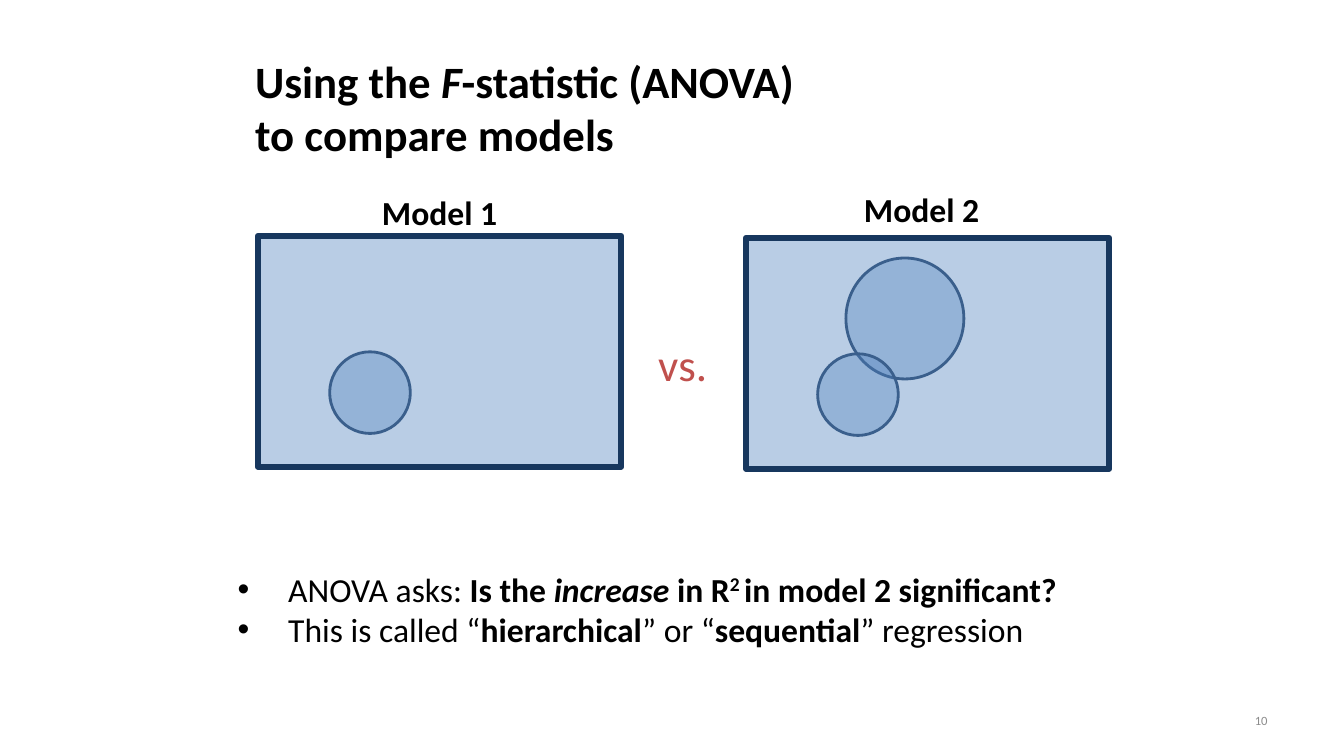
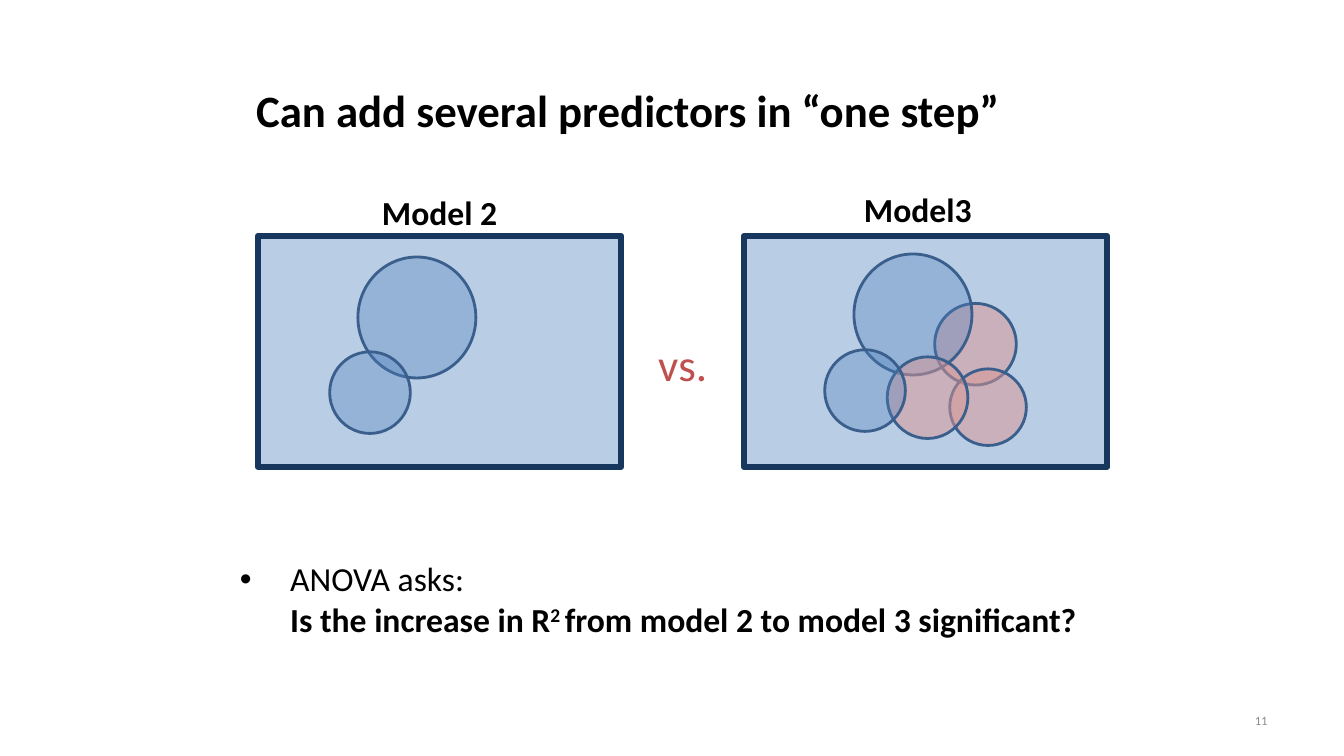
from lxml.etree import SubElement
from pptx import Presentation
from pptx.dml.color import RGBColor
from pptx.enum.shapes import MSO_SHAPE
from pptx.enum.text import MSO_ANCHOR, MSO_AUTO_SIZE, PP_ALIGN
from pptx.oxml.ns import qn
from pptx.util import Inches, Pt

# Shared style
FONT = "Calibri"
BLACK, GRAY, RED = "000000", "8C8C8C", "C0504D"
PANEL_FILL, PANEL_LINE, CIRCLE_LINE = "B9CDE5", "17375E", "3A5F8C"
BLUE = ("4F81BD", 34)  # colour, opacity in percent
PINK = ("D99694", 52)
PANEL_SIZE = (3.6, 2.29)
SMALL, LARGE = (0.8, 0.81), (1.17, 1.2)


def color(hex_string):
    return RGBColor.from_string(hex_string)


def place(shape, left, top, width, height):
    shape.left, shape.top = Inches(left), Inches(top)
    shape.width, shape.height = Inches(width), Inches(height)


def write(paragraph, runs, size, text_color=BLACK):
    """Runs are (text, marks): b bold, i italic, ^ superscript, n line break first."""
    paragraph.font.name = FONT
    paragraph.font.size = Pt(size)
    paragraph.font.color.rgb = color(text_color)
    for text, marks in runs:
        if "n" in marks:
            paragraph.add_line_break()
        run = paragraph.add_run()
        run.text = text
        run.font.bold = "b" in marks
        run.font.italic = "i" in marks
        if "^" in marks:
            run.font._element.set("baseline", "30000")


def add_text(slide, box, runs, size, text_color=BLACK, wrap=False):
    shape = slide.shapes.add_textbox(*map(Inches, box))
    shape.text_frame.word_wrap = wrap
    write(shape.text_frame.paragraphs[0], runs, size, text_color)
    return shape


def add_title(slide, box, runs):
    title = slide.shapes.title
    place(title, *box)
    frame = title.text_frame
    frame.auto_size = MSO_AUTO_SIZE.NONE
    frame.word_wrap = False
    frame.vertical_anchor = MSO_ANCHOR.TOP
    paragraph = frame.paragraphs[0]
    paragraph.alignment = PP_ALIGN.LEFT
    write(paragraph, runs, 32)


def add_slide_number(slide, number):
    shape = add_text(slide, (9.56, 6.95, 3.11, 0.4), [(str(number), "")], 9, GRAY, wrap=True)
    shape.text_frame.vertical_anchor = MSO_ANCHOR.MIDDLE
    shape.text_frame.paragraphs[0].alignment = PP_ALIGN.RIGHT


def add_bullets(slide, box, items):
    frame = slide.shapes.add_textbox(*map(Inches, box)).text_frame
    frame.word_wrap = True
    for index, runs in enumerate(items):
        paragraph = frame.add_paragraph() if index else frame.paragraphs[0]
        write(paragraph, runs, 24)
        properties = paragraph._p.get_or_add_pPr()
        properties.set("marL", str(Inches(0.5)))
        properties.set("indent", str(-Inches(0.5)))
        # The bullet belongs before the default run properties
        bullet_font = SubElement(properties, qn("a:buFont"), typeface="Arial")
        bullet = SubElement(properties, qn("a:buChar"), char="•")
        default_font = properties.find(qn("a:defRPr"))
        default_font.addprevious(bullet_font)
        default_font.addprevious(bullet)


def add_figure(slide, preset, box, fill, line, line_width, opacity=100):
    shape = slide.shapes.add_shape(preset, *map(Inches, box))
    shape.shadow.inherit = False
    shape.fill.solid()
    shape.fill.fore_color.rgb = color(fill)
    shape.line.color.rgb = color(line)
    shape.line.width = Pt(line_width)
    if opacity < 100:
        fill_color = shape._element.spPr.find(qn("a:solidFill"))[0]
        SubElement(fill_color, qn("a:alpha"), val=str(opacity * 1000))


def add_model(slide, corner, label, label_box, circles):
    """Draw a framed model with its predictors as (left, top, size, tint)."""
    add_figure(slide, MSO_SHAPE.RECTANGLE, corner + PANEL_SIZE, PANEL_FILL, PANEL_LINE, 4.5)
    for left, top, size, (fill, opacity) in circles:
        add_figure(slide, MSO_SHAPE.OVAL, (left, top) + size, fill, CIRCLE_LINE, 2, opacity)
    add_text(slide, label_box, [(label, "b")], 24)


def add_comparison_slide(presentation, number, title_box, title, left_model, right_model,
                         bullet_box, bullets):
    slide = presentation.slides.add_slide(presentation.slide_layouts[5])
    add_title(slide, title_box, title)
    add_model(slide, (2.56, 2.34), left_model[0], (3.69, 1.85, 1.36, 0.51), left_model[1])
    add_text(slide, (6.43, 3.29, 0.69, 0.64), [("vs.", "")], 32, RED)
    label, corner, label_width, circles = right_model
    add_model(slide, corner, label, (8.47, 1.82, label_width, 0.51), circles)
    add_bullets(slide, bullet_box, bullets)
    add_slide_number(slide, number)


def main():
    presentation = Presentation()
    presentation.slide_width = Inches(13.33)
    presentation.slide_height = Inches(7.5)
    first_predictor = (3.27, 3.49, SMALL, BLUE)

    # One added predictor
    add_comparison_slide(
        presentation, 10, (2.43, 0.48, 5.7, 1.18),
        [("Using the ", "b"), ("F", "bi"), ("-statistic (ANOVA) ", "b"),
         ("to compare models", "bn")],
        ("Model 1", [first_predictor]),
        ("Model 2", (7.4, 2.36), 1.36,
         [(8.39, 2.56, LARGE, BLUE), (8.11, 3.51, SMALL, BLUE)]),
        (2.26, 5.59, 8.56, 0.91),
        [[("ANOVA asks: ", ""), ("Is the ", "b"), ("increase", "bi"), (" in R", "b"),
          ("2 ", "b^"), ("in model 2 significant?", "b")],
         [("This is called “", ""), ("hierarchical", "b"), ("” or “", ""),
          ("sequential", "b"), ("” regression", "")]])

    # Several added predictors
    add_comparison_slide(
        presentation, 11, (2.44, 0.77, 7.64, 0.64),
        [("Can add several predictors in “one step”", "b")],
        ("Model 2", [(3.55, 2.55, LARGE, BLUE), first_predictor]),
        ("Model3", (7.38, 2.34), 1.28,
         [(9.27, 3.01, (0.81, 0.81), PINK), (8.47, 2.52, LARGE, BLUE),
          (9.42, 3.66, (0.76, 0.76), PINK), (8.8, 3.54, SMALL, PINK),
          (8.18, 3.47, SMALL, BLUE)]),
        (2.28, 5.49, 8.56, 0.91),
        [[("ANOVA asks: ", ""), ("Is the increase in R", "bn"), ("2 ", "b^"),
          ("from model 2 to model 3 significant?", "b")]])

    presentation.save("out.pptx")


main()
